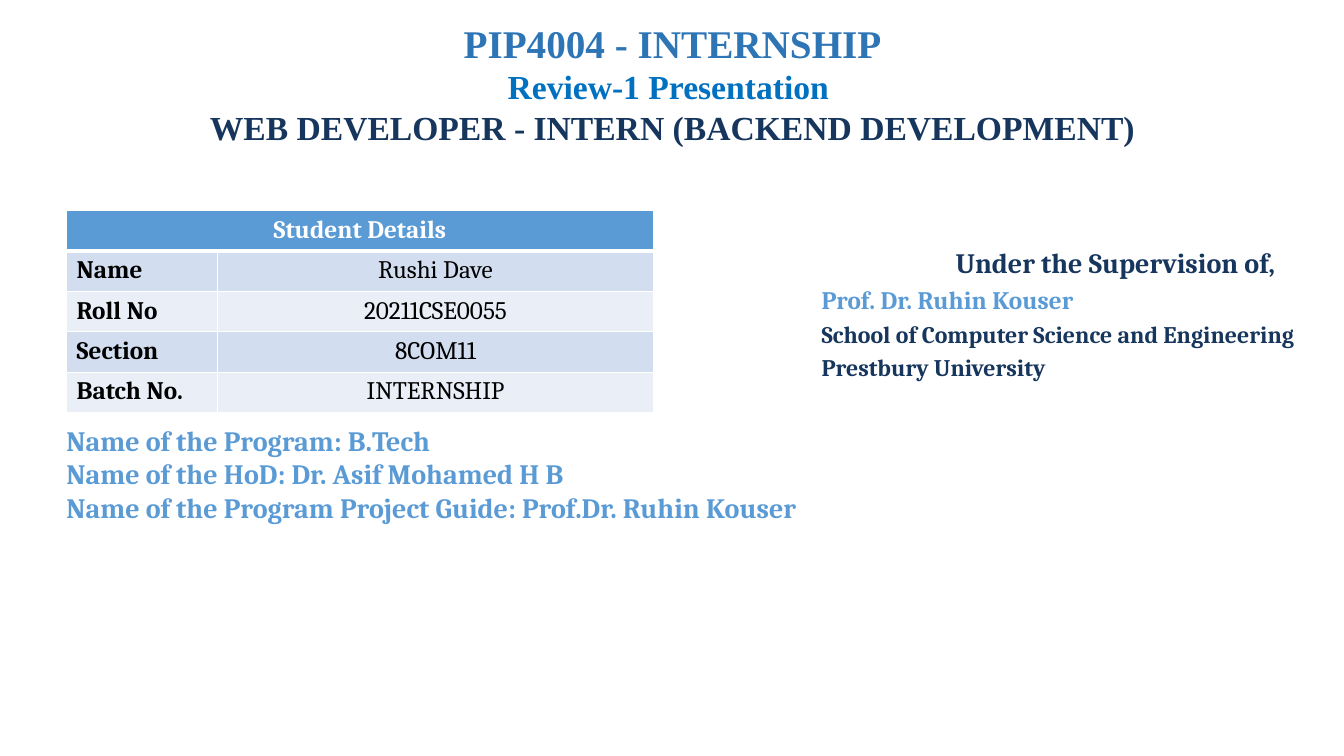
from lxml.etree import SubElement
from pptx import Presentation
from pptx.dml.color import RGBColor
from pptx.enum.text import MSO_ANCHOR, MSO_AUTO_SIZE, PP_ALIGN
from pptx.oxml.ns import qn
from pptx.util import Inches, Pt

COLORS = {
    "white": "FFFFFF", "black": "000000", "navy": "17365D", "sky": "5B9BD5",
    "steel": "2E75B6", "blue": "0070C0", "band_dark": "D2DEEF", "band_light": "EAEFF7",
}


def add_text(paragraph, text, size=18, color="black", bold=True, font="Cambria",
             align=PP_ALIGN.LEFT, before=0):
    paragraph.alignment = align
    paragraph.space_before = Pt(before)
    run = paragraph.add_run()
    run.text = text
    run.font.name = font
    run.font.size = Pt(size)
    run.font.bold = bold
    run.font.color.rgb = RGBColor.from_string(COLORS[color])


def style_cell(cell, fill, bottom_width=1):
    cell.vertical_anchor = MSO_ANCHOR.TOP
    properties = cell._tc.get_or_add_tcPr()
    for side in ("lnL", "lnR", "lnT", "lnB"):
        width = bottom_width if side == "lnB" else 1
        border = SubElement(properties, qn(f"a:{side}"), w=str(Pt(width)))
        line_fill = SubElement(border, qn("a:solidFill"))
        SubElement(line_fill, qn("a:srgbClr"), val=COLORS["white"])
    cell.fill.solid()
    cell.fill.fore_color.rgb = RGBColor.from_string(COLORS[fill])


prs = Presentation()
prs.slide_width, prs.slide_height = Inches(13.33), Inches(7.5)
slide = prs.slides.add_slide(prs.slide_layouts[5])

# Heading
heading = slide.shapes.title
heading.left, heading.top = Inches(0.92), Inches(0.14)
heading.width, heading.height = Inches(11.5), Inches(1.71)
heading.text_frame.auto_size = MSO_AUTO_SIZE.NONE
heading.text_frame.vertical_anchor = MSO_ANCHOR.TOP
heading_paragraph = heading.text_frame.paragraphs[0]
heading_lines = [
    ("PIP4004 - INTERNSHIP", 28, "steel"),
    ("Review-1 Presentation ", 24, "blue"),
    ("WEB DEVELOPER - INTERN (BACKEND DEVELOPMENT)", 24, "navy"),
]
for index, (text, size, color) in enumerate(heading_lines):
    if index:
        heading_paragraph.add_line_break()
    add_text(heading_paragraph, text, size=size, color=color,
             font="Times New Roman", align=PP_ALIGN.CENTER)

# Supervisor and program details
supervision = [
    ("Under the Supervision of,", dict(size=20, color="navy", align=PP_ALIGN.CENTER)),
    ("Prof. Dr. Ruhin Kouser", dict(size=18, color="sky", before=3.4)),
    ("School of Computer Science and Engineering", dict(size=17, color="navy", before=3.4)),
    ("Prestbury University", dict(size=17, color="navy", before=3.4)),
]
program = [
    (text, dict(size=20, color="sky"))
    for text in (
        "Name of the Program: B.Tech",
        "Name of the HoD: Dr. Asif Mohamed H B",
        "Name of the Program Project Guide: Prof.Dr. Ruhin Kouser",
    )
]
for bounds, lines in (
    ((8.05, 2.39, 6.03, 2.21), supervision),
    ((0.56, 4.15, 13.4, 1.71), program),
):
    frame = slide.shapes.add_textbox(*map(Inches, bounds)).text_frame
    frame.word_wrap = True
    for index, (text, text_format) in enumerate(lines):
        paragraph = frame.add_paragraph() if index else frame.paragraphs[0]
        add_text(paragraph, text, **text_format)

# Student details table
students = [
    ("Name", "Rushi Dave"),
    ("Roll No", "20211CSE0055"),
    ("Section", "8COM11"),
    ("Batch No.", "INTERNSHIP"),
]
details = slide.shapes.add_table(
    len(students) + 1, 2, Inches(0.66), Inches(2.09), Inches(5.82), Inches(2)
).table
details.columns[0].width = Inches(1.5)
details.columns[1].width = Inches(4.32)

details.cell(0, 0).merge(details.cell(0, 1))
for column in range(2):
    style_cell(details.cell(0, column), "sky", bottom_width=3)
add_text(details.cell(0, 0).text_frame.paragraphs[0], "Student Details",
         color="white", align=PP_ALIGN.CENTER)

for row, (label, value) in enumerate(students, start=1):
    for column, text in enumerate((label, value)):
        cell = details.cell(row, column)
        style_cell(cell, "band_dark" if row % 2 else "band_light")
        add_text(cell.text_frame.paragraphs[0], text, bold=column == 0,
                 align=PP_ALIGN.CENTER if column else PP_ALIGN.LEFT)

prs.save("out.pptx")
